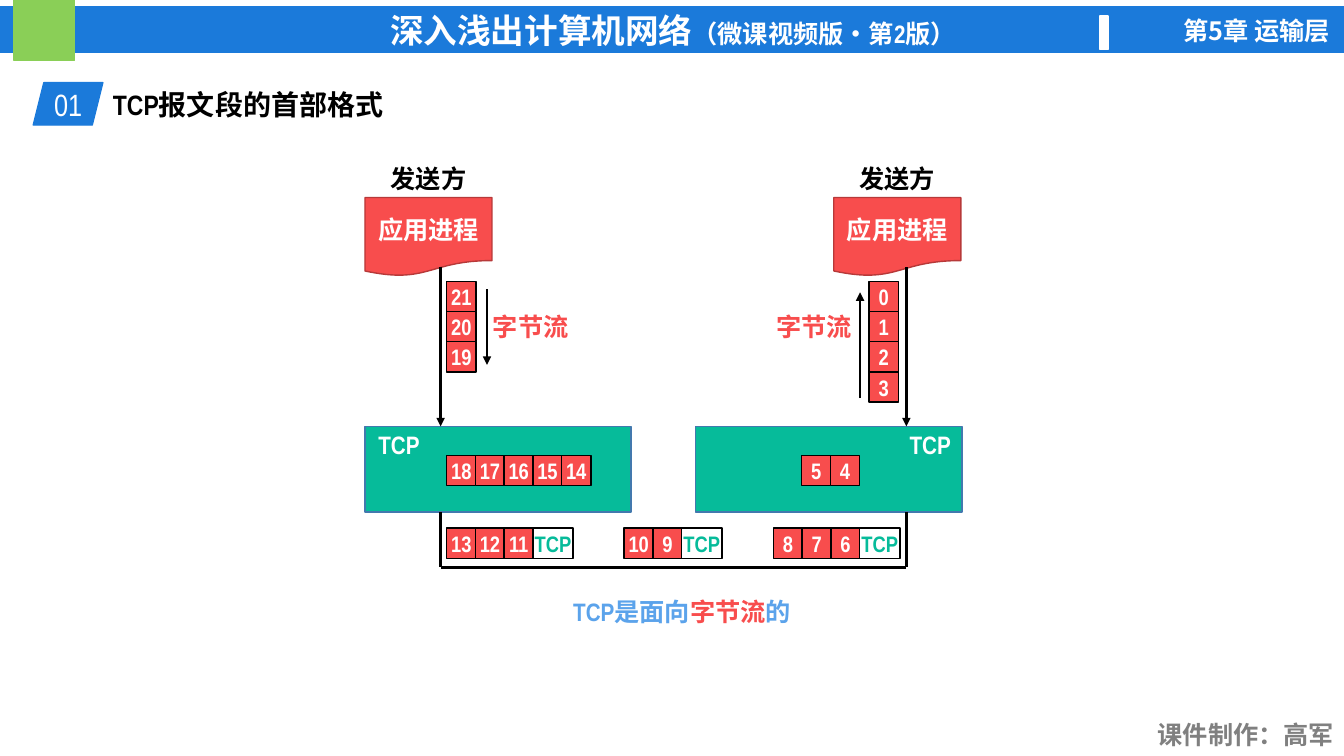
"""Builds the slide on the TCP byte stream between two application processes."""
from lxml import etree
from pptx import Presentation
from pptx.dml.color import RGBColor
from pptx.enum.shapes import MSO_CONNECTOR, MSO_SHAPE
from pptx.enum.text import MSO_ANCHOR, MSO_AUTO_SIZE, PP_ALIGN
from pptx.oxml.ns import qn
from pptx.util import Inches, Pt

RECTANGLE = MSO_SHAPE.RECTANGLE
DOCUMENT = MSO_SHAPE.FLOWCHART_DOCUMENT
PARALLELOGRAM = MSO_SHAPE.PARALLELOGRAM
STRAIGHT = MSO_CONNECTOR.STRAIGHT
LEFT, CENTER, RIGHT = PP_ALIGN.LEFT, PP_ALIGN.CENTER, PP_ALIGN.RIGHT
TOP, MIDDLE = MSO_ANCHOR.TOP, MSO_ANCHOR.MIDDLE
NO_AUTOFIT = MSO_AUTO_SIZE.NONE

BLUE = RGBColor(0x1B, 0x7A, 0xDA)
LIGHT_BLUE = RGBColor(0x5B, 0xA3, 0xEB)
EDGE_BLUE = RGBColor(0x43, 0x79, 0xAE)
LIME = RGBColor(0x8A, 0xCF, 0x57)
TEAL = RGBColor(0x06, 0xBB, 0x9A)
RED = RGBColor(0xF8, 0x4D, 0x4D)
DARK_RED = RGBColor(0xB7, 0x39, 0x39)
GRAY = RGBColor(0x80, 0x80, 0x80)
WHITE = RGBColor(0xFF, 0xFF, 0xFF)
BLACK = RGBColor(0, 0, 0)
NARROW, CJK = "Arial Narrow", "Noto Sans CJK SC"

COURSE = [("深入浅出计算机网络", WHITE, 24), ("（微课视频版•第2版）", WHITE, 18)]
CHAPTER = "第5章 运输层"
CREDIT = "课件制作：高军"
SECTION_NUMBER, SECTION_TITLE = "01", "TCP报文段的首部格式"
PARTY, PROCESS, PROTOCOL, STREAM = "发送方", "应用进程", "TCP", "字节流"
CONCLUSION = [("TCP是面向", LIGHT_BLUE, 18), (STREAM, RED, 18), ("的", LIGHT_BLUE, 18)]

SLIDE_WIDTH, SLIDE_HEIGHT = 13.33, 7.5
CELL_WIDTH, CELL_HEIGHT, CELL_PITCH = 0.29, 0.3, 1.14 / 4
HEADER_WIDTH, LABEL_HEIGHT = 0.4, 0.4
PROCESS_WIDTH, PROCESS_HEIGHT = 1.26, 0.78
LAYER_WIDTH, LAYER_HEIGHT = 2.64, 0.85
PARTY_ROW, PROCESS_ROW, BYTES_ROW, STREAM_ROW = 1.57, 1.96, 2.79, 3.04
LAYER_ROW, BUFFER_ROW, SEGMENT_ROW, WIRE_ROW = 4.23, 4.52, 5.24, 5.63
PATH_START = 2.65
LAYER_BOTTOM = LAYER_ROW + LAYER_HEIGHT
LEFT_WIRE, RIGHT_WIRE = 4.37, 8.99

SIDES = [
    {"process": 3.62, "layer": 3.62, "tag": 3.62, "wire": LEFT_WIRE, "stream": 4.79,
     "bytes": (4.43, ["21", "20", "19"]), "flow": (4.83, 2.87, 3.62)},
    {"process": 8.27, "layer": 6.9, "tag": 8.89, "wire": RIGHT_WIRE, "stream": 7.6,
     "bytes": (8.62, ["0", "1", "2", "3"]), "flow": (8.53, 3.95, 2.9)},
]
BUFFERS = [(4.43, ["18", "17", "16", "15", "14"]), (7.95, ["5", "4"])]
SEGMENTS = [(4.43, ["13", "12", "11"]), (6.19, ["10", "9"]), (7.67, ["8", "7", "6"])]


def write_text(shape, text, color=BLACK, size=18, bold=True, align=CENTER,
               anchor=TOP, font=NARROW, side_margin=0.1):
    """Write a string, or a list of (text, color, size) runs, into a shape."""
    frame = shape.text_frame
    frame.word_wrap = True
    frame.auto_size = NO_AUTOFIT
    frame.vertical_anchor = anchor
    frame.margin_left = frame.margin_right = Inches(side_margin)
    paragraph = frame.paragraphs[0]
    paragraph.alignment = align
    runs = [(text, color, size)] if isinstance(text, str) else text
    for words, run_color, run_size in runs:
        run = paragraph.add_run()
        run.text = words
        run.font.name = font
        run.font.size = Pt(run_size)
        run.font.bold = bold
        run.font.color.rgb = run_color
        east_asian = etree.SubElement(run.font._element, qn("a:ea"))
        east_asian.set("typeface", CJK)


def add_box(slide, kind, left, top, width, height, fill, line):
    """Add a filled preset shape with a one-point outline."""
    shape = slide.shapes.add_shape(kind, Inches(left), Inches(top), Inches(width), Inches(height))
    shape.shadow.inherit = False
    shape.fill.solid()
    shape.fill.fore_color.rgb = fill
    shape.line.color.rgb = line
    shape.line.width = Pt(1)
    return shape


def add_label(slide, left, top, width, text, **text_format):
    """Add a one-line text box."""
    label = slide.shapes.add_textbox(Inches(left), Inches(top), Inches(width), Inches(LABEL_HEIGHT))
    write_text(label, text, **text_format)


def add_line(slide, start, end, arrow=False):
    """Add a black line, with an arrowhead at its end on request."""
    connector = slide.shapes.add_connector(STRAIGHT, *map(Inches, start + end))
    connector.line.color.rgb = BLACK
    connector.line.width = Pt(2)
    if arrow:
        head = etree.SubElement(connector.line._get_or_add_ln(), qn("a:tailEnd"))
        head.set("type", "triangle")
    etree.SubElement(connector._element.spPr, qn("a:effectLst"))


def add_cell(slide, left, top, text, width=CELL_WIDTH, fill=RED, color=WHITE):
    """Add one byte cell or segment header."""
    cell = add_box(slide, RECTANGLE, left, top, width, CELL_HEIGHT, fill, BLACK)
    write_text(cell, text, color=color, size=16, anchor=MIDDLE, side_margin=0)


def add_byte_row(slide, left, top, numbers):
    """Add a row of byte cells and return the position after the last one."""
    for index, number in enumerate(numbers):
        add_cell(slide, left + index * CELL_PITCH, top, number)
    return left + len(numbers) * CELL_PITCH


def add_banner(slide):
    """Add the course banner, the section heading and the credit."""
    banner = add_box(slide, RECTANGLE, 0, 0.07, 13.35, 0.45, BLUE, BLUE)
    write_text(banner, COURSE, anchor=MIDDLE)
    add_box(slide, RECTANGLE, 0.14, 0, 0.6, 0.6, LIME, LIME)
    add_box(slide, RECTANGLE, 10.91, 0.16, 0.08, 0.33, WHITE, WHITE)
    add_label(slide, 11.11, 0.1, 2.18, CHAPTER, color=WHITE, align=RIGHT, font=CJK)
    add_label(slide, 11.34, 7.09, 1.99, CREDIT, color=GRAY, align=RIGHT)
    number = add_box(slide, PARALLELOGRAM, 0.33, 0.82, 0.69, 0.42, BLUE, BLUE)
    write_text(number, SECTION_NUMBER, color=WHITE, size=22, bold=False, anchor=MIDDLE)
    title = slide.shapes.title
    title.left, title.top, title.width, title.height = map(Inches, (1.02, 0.82, 6.08, 0.44))
    write_text(title, SECTION_TITLE, size=20, align=LEFT)


def add_side(slide, side):
    """Add one application process with its byte stream and TCP layer."""
    process = add_box(slide, DOCUMENT, side["process"], PROCESS_ROW,
                      PROCESS_WIDTH, PROCESS_HEIGHT, RED, DARK_RED)
    write_text(process, PROCESS, color=WHITE, anchor=MIDDLE)
    add_label(slide, side["process"], PARTY_ROW, PROCESS_WIDTH, PARTY)
    add_box(slide, RECTANGLE, side["layer"], LAYER_ROW, LAYER_WIDTH, LAYER_HEIGHT, TEAL, EDGE_BLUE)
    add_label(slide, side["tag"], LAYER_ROW - 0.02, 0.64, PROTOCOL, color=WHITE, align=RIGHT)
    wire = side["wire"]
    add_line(slide, (wire, PATH_START), (wire, LAYER_ROW), arrow=True)
    add_line(slide, (wire, LAYER_BOTTOM), (wire, WIRE_ROW))
    left, numbers = side["bytes"]
    for index, number in enumerate(numbers):
        add_cell(slide, left, BYTES_ROW + index * CELL_HEIGHT, number)
    flow, start, end = side["flow"]
    add_line(slide, (flow, start), (flow, end), arrow=True)
    add_label(slide, side["stream"], STREAM_ROW, 0.99, STREAM, color=RED, align=LEFT)


def main():
    """Build and save the presentation."""
    presentation = Presentation()
    presentation.slide_width = Inches(SLIDE_WIDTH)
    presentation.slide_height = Inches(SLIDE_HEIGHT)
    slide = presentation.slides.add_slide(presentation.slide_layouts[5])
    add_banner(slide)
    for side in SIDES:
        add_side(slide, side)
    add_line(slide, (LEFT_WIRE, WIRE_ROW), (RIGHT_WIRE, WIRE_ROW))
    for left, numbers in BUFFERS:
        add_byte_row(slide, left, BUFFER_ROW, numbers)
    for left, numbers in SEGMENTS:
        header_left = add_byte_row(slide, left, SEGMENT_ROW, numbers)
        add_cell(slide, header_left, SEGMENT_ROW, PROTOCOL, HEADER_WIDTH, WHITE, TEAL)
    add_label(slide, 3.81, 5.87, 5.91, CONCLUSION)
    presentation.save("out.pptx")


if __name__ == "__main__":
    main()
